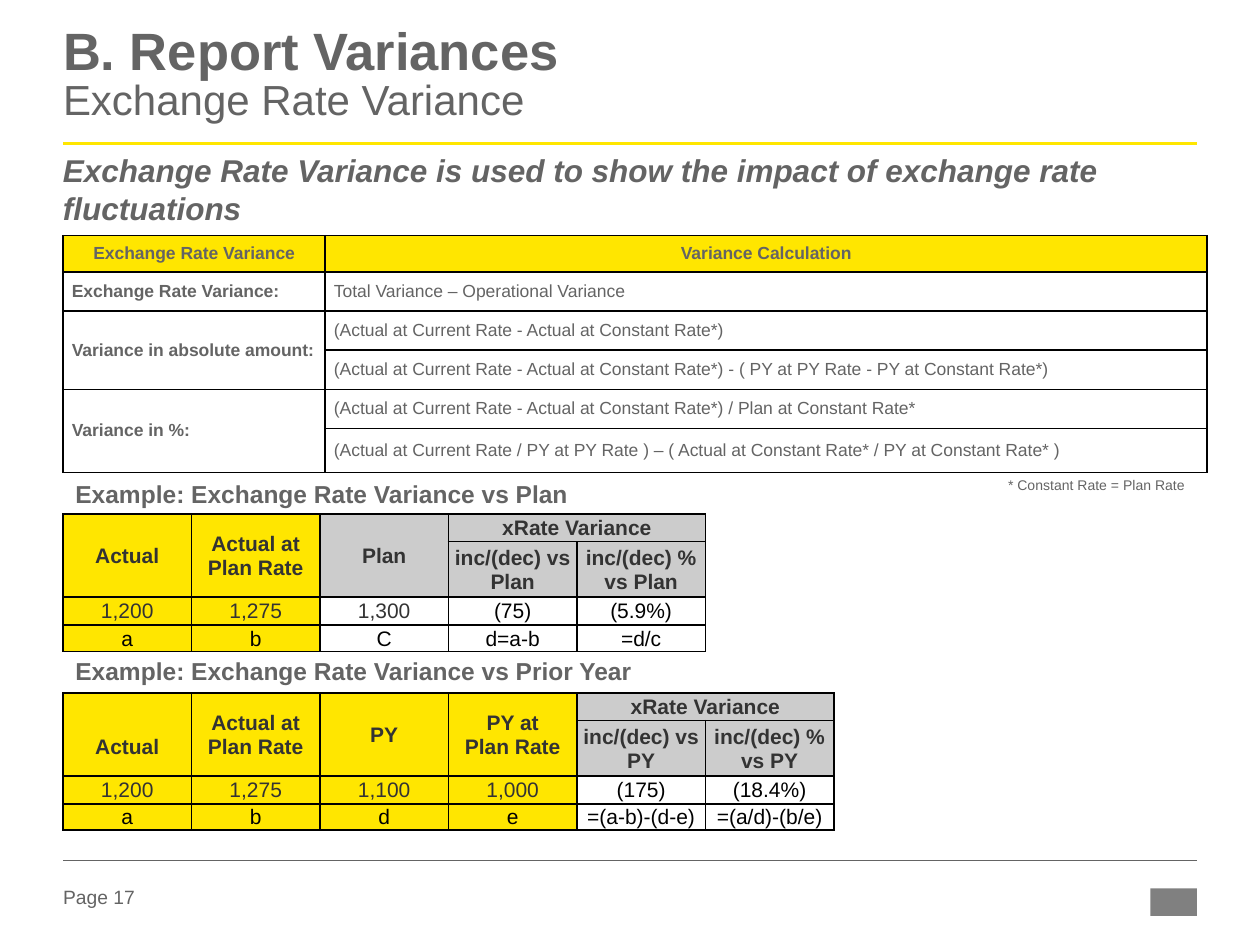
from lxml import etree
from pptx import Presentation
from pptx.dml.color import RGBColor
from pptx.enum.shapes import MSO_CONNECTOR, MSO_SHAPE
from pptx.enum.text import MSO_ANCHOR, MSO_AUTO_SIZE, PP_ALIGN
from pptx.oxml.ns import qn
from pptx.util import Inches, Pt

LEFT, CENTER = PP_ALIGN.LEFT, PP_ALIGN.CENTER
TOP, MIDDLE = MSO_ANCHOR.TOP, MSO_ANCHOR.MIDDLE
YELLOW, SILVER, WHITE, BLACK = "FFE600", "CCCCCC", "FFFFFF", "000000"
TEXT, DARK, LOGO_GRAY = "646464", "333333", "808080"

# Content: (row, column, rows, columns) marks a merged cell, "" a covered one
TITLE, SUBTITLE = "B. Report Variances", "Exchange Rate Variance"
MESSAGE = "Exchange Rate Variance is used to show the impact of exchange rate fluctuations"
FOOTNOTE = "* Constant Rate = Plan Rate"
PAGE = "Page 17"
CALCULATIONS = [
    ("Exchange Rate Variance", "Variance Calculation"),
    ("Exchange Rate Variance:", "Total Variance – Operational Variance"),
    ("Variance in absolute amount:", "(Actual at Current Rate - Actual at Constant Rate*)"),
    ("", "(Actual at Current Rate - Actual at Constant Rate*) - ( PY at PY Rate - PY at Constant Rate*)"),
    ("Variance in %:", "(Actual at Current Rate - Actual at Constant Rate*) / Plan at Constant Rate*"),
    ("", "(Actual at Current Rate / PY at PY Rate ) – ( Actual at Constant Rate* / PY at Constant Rate* )"),
]
CALCULATION_SPANS = [(2, 0, 2, 1), (4, 0, 2, 1)]
EXAMPLES = [
    {
        "heading": "Example: Exchange Rate Variance vs Plan",
        "top": 3.75, "table_top": 4.08, "yellow_columns": 2, "lowered": None,
        "rows": [
            ("Actual", "Actual at\nPlan Rate", "Plan", "xRate Variance", ""),
            ("", "", "", "inc/(dec) vs Plan", "inc/(dec) %\nvs Plan"),
            ("1,200", "1,275", "1,300", "(75)", "(5.9%)"),
            ("a", "b", "C", "d=a-b", "=d/c"),
        ],
    },
    {
        "heading": "Example: Exchange Rate Variance vs Prior Year",
        "top": 5.16, "table_top": 5.5, "yellow_columns": 4, "lowered": (0, 0),
        "rows": [
            ("Actual", "Actual at\nPlan Rate", "PY", "PY at\nPlan Rate", "xRate Variance", ""),
            ("", "", "", "", "inc/(dec) vs PY", "inc/(dec) %\nvs PY"),
            ("1,200", "1,275", "1,100", "1,000", "(175)", "(18.4%)"),
            ("a", "b", "d", "e", "=(a-b)-(d-e)", "=(a/d)-(b/e)"),
        ],
    },
]

# Layout in inches
WIDTH, HEIGHT, MARGIN = 10, 7.5, 0.5
CONTENT = WIDTH - 2 * MARGIN
EXAMPLE_COLUMN = 1.02
EXAMPLE_ROWS = [0.22, 0.44, 0.22, 0.21]
HEADER_ROWS = 2
LOWERED_INSET = 0.2


def color(value):
    return RGBColor.from_string(value)


def write(frame, text, size=12, ink=TEXT, bold=False, italic=False, align=LEFT):
    """Write one paragraph for each line of text."""
    for index, line in enumerate(text.split("\n")):
        paragraph = frame.paragraphs[0] if index == 0 else frame.add_paragraph()
        paragraph.alignment = align
        run = paragraph.add_run()
        run.text = line
        font = run.font
        font.name, font.size = "Arial", Pt(size)
        font.bold, font.italic = bold, italic
        font.color.rgb = color(ink)


def set_frame(frame, anchor=TOP, insets=(0, 0)):
    frame.word_wrap = True
    frame.auto_size = MSO_AUTO_SIZE.NONE
    frame.vertical_anchor = anchor
    frame.margin_left = frame.margin_right = Inches(insets[0])
    frame.margin_top = frame.margin_bottom = Inches(insets[1])


def add_text(slide, box, text, anchor=TOP, insets=(0, 0), **text_format):
    shape = slide.shapes.add_textbox(*map(Inches, box))
    set_frame(shape.text_frame, anchor, insets)
    write(shape.text_frame, text, **text_format)


def add_rule(slide, top, ink, width):
    line = slide.shapes.add_connector(
        MSO_CONNECTOR.STRAIGHT, Inches(MARGIN), Inches(top), Inches(WIDTH - MARGIN), Inches(top))
    line.line.color.rgb = color(ink)
    line.line.width = Pt(width)
    etree.SubElement(line._element.spPr, qn("a:effectLst"))


def add_borders(cell):
    properties = cell._tc.get_or_add_tcPr()
    for side in ("lnL", "lnR", "lnT", "lnB"):
        border = etree.SubElement(properties, qn(f"a:{side}"), w=str(Pt(1)))
        fill = etree.SubElement(border, qn("a:solidFill"))
        etree.SubElement(fill, qn("a:srgbClr"), val=BLACK)


def add_table(slide, top, rows, widths, heights, spans, style):
    """Draw a table; style(row, column) gives the fill, insets and text format."""
    table = slide.shapes.add_table(
        len(rows), len(widths), Inches(MARGIN), Inches(top),
        Inches(sum(widths)), Inches(sum(heights))).table
    table.first_row = table.horz_banding = False
    for column, width in zip(table.columns, widths):
        column.width = Inches(width)
    for row, height in zip(table.rows, heights):
        row.height = Inches(height)
    for r, texts in enumerate(rows):
        for c, text in enumerate(texts):
            cell = table.cell(r, c)
            fill, (side, above), text_format = style(r, c)
            add_borders(cell)
            cell.fill.solid()
            cell.fill.fore_color.rgb = color(fill)
            cell.vertical_anchor = MIDDLE
            cell.margin_left = cell.margin_right = Inches(side)
            cell.margin_top, cell.margin_bottom = Inches(above), 0
            if text:
                write(cell.text_frame, text, **text_format)
    for r, c, row_span, column_span in spans:
        table.cell(r, c).merge(table.cell(r + row_span - 1, c + column_span - 1))


def calculation_style(row, column):
    header = row == 0
    text_format = {"size": 10, "bold": header or column == 0, "align": CENTER if header else LEFT}
    return YELLOW if header else WHITE, (0.07, 0), text_format


def add_example(slide, example):
    rows = example["rows"]
    count = len(rows[0])
    variance = count - 2  # first of the two variance columns

    def style(row, column):
        header = row < HEADER_ROWS
        fill = YELLOW if column < example["yellow_columns"] else SILVER if header else WHITE
        black = row == len(rows) - 1 or (not header and column >= variance)
        above = LOWERED_INSET if (row, column) == example["lowered"] else 0.01
        text_format = {"ink": BLACK if black else DARK, "bold": header, "align": CENTER}
        return fill, (0.01, above), text_format

    add_text(slide, (MARGIN, example["top"], 4.83, 0.34), example["heading"],
             insets=(0.1, 0.05), size=14, bold=True)
    spans = [(0, column, HEADER_ROWS, 1) for column in range(variance)] + [(0, variance, 1, 2)]
    add_table(slide, example["table_top"], rows, [EXAMPLE_COLUMN] * count, EXAMPLE_ROWS, spans, style)


def main():
    presentation = Presentation()
    presentation.slide_width, presentation.slide_height = Inches(WIDTH), Inches(HEIGHT)
    slide = presentation.slides.add_slide(presentation.slide_layouts[5])

    # Title and message
    title = slide.shapes.title
    title.left, title.top, title.width, title.height = map(Inches, (MARGIN, 0.22, CONTENT, 0.94))
    set_frame(title.text_frame)
    write(title.text_frame, TITLE, size=30, bold=True)
    title.text_frame.paragraphs[0].add_line_break()
    write(title.text_frame, SUBTITLE, size=24)
    title.text_frame.paragraphs[0].line_spacing = 0.85
    add_rule(slide, 1.14, YELLOW, 1.5)
    add_text(slide, (MARGIN, 1.2, CONTENT, 0.58), MESSAGE, size=18, bold=True, italic=True)

    # Calculation table and worked examples
    add_table(slide, 1.87, CALCULATIONS, [2.08, 7], [0.29] + [0.31] * 4 + [0.35],
              CALCULATION_SPANS, calculation_style)
    add_text(slide, (8, 3.78, 1.58, 0.22), FOOTNOTE, size=8)
    for example in EXAMPLES:
        add_example(slide, example)

    # Footer
    add_rule(slide, 6.83, TEXT, 0.25)
    add_text(slide, (MARGIN, 7.01, 0.79, 0.22), PAGE, anchor=MIDDLE, size=11)
    mark = slide.shapes.add_shape(MSO_SHAPE.RECTANGLE, *map(Inches, (9.13, 7.05, 0.37, 0.22)))
    mark.shadow.inherit = False
    mark.fill.solid()
    mark.fill.fore_color.rgb = color(LOGO_GRAY)
    mark.line.fill.background()

    presentation.save("out.pptx")


if __name__ == "__main__":
    main()
